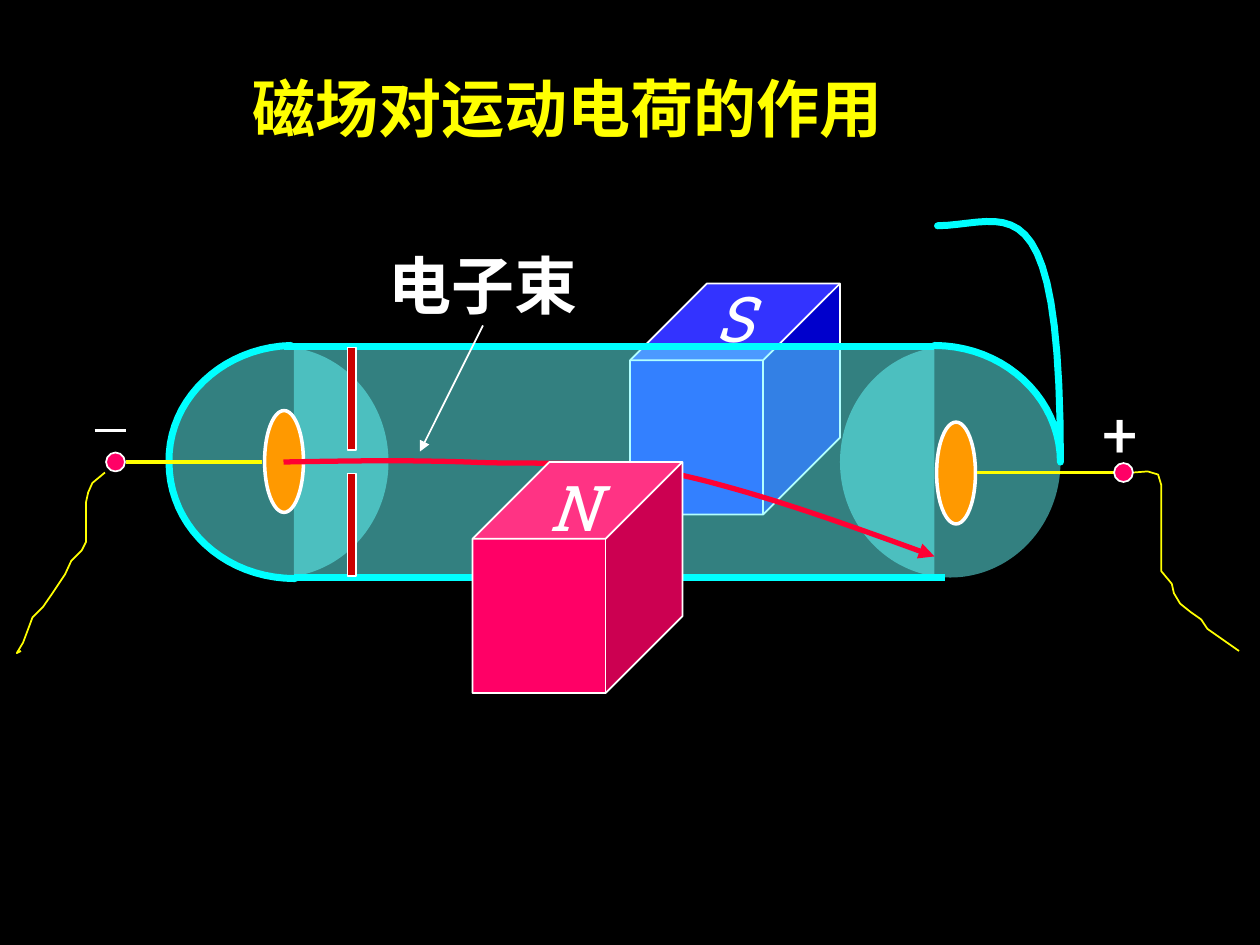
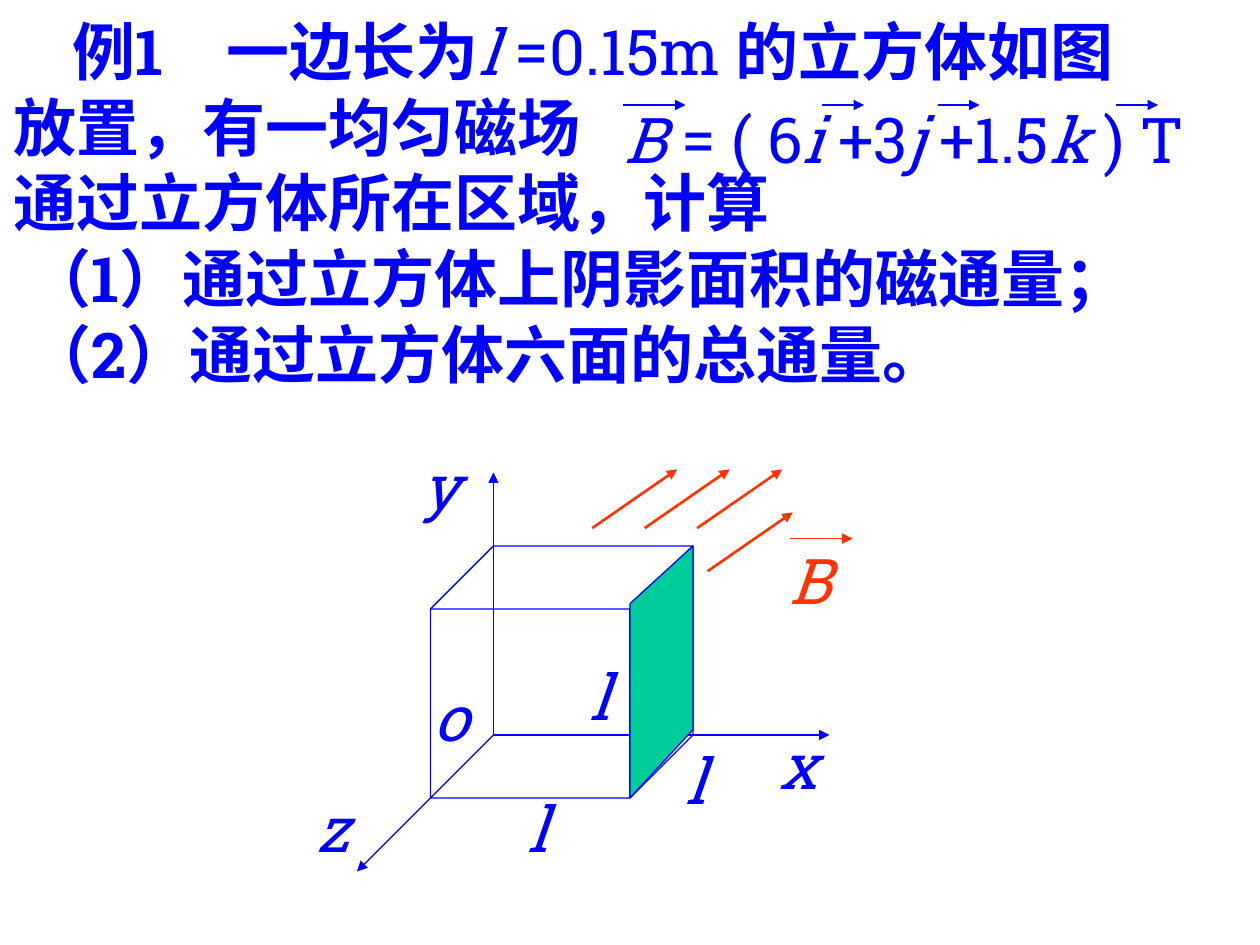
from dataclasses import dataclass

from lxml.etree import SubElement
from pptx import Presentation
from pptx.dml.color import RGBColor
from pptx.enum.shapes import MSO_CONNECTOR as Connector, MSO_SHAPE as Shape
from pptx.enum.text import MSO_ANCHOR as Anchor, MSO_AUTO_SIZE as AutoSize, PP_ALIGN as Align
from pptx.oxml.ns import qn
from pptx.util import Emu, Inches, Pt

COLUMNS, ROWS = 120, 90
TEXT_ROWS = 8.4


@dataclass(frozen=True)
class Theme:
    latin: str = "Roboto Slab"
    chinese: str = "Noto Sans CJK SC"
    text_size: float = 36
    hairline: float = 0.75
    thin: float = 1
    field: float = 1.5
    medium: float = 2
    beam: float = 3
    thick: float = 4
    black: str = "000000"
    white: str = "FFFFFF"
    yellow: str = "FFFF00"
    blue: str = "0000FF"
    glass: str = "66FFFF"
    cyan: str = "00FFFF"
    orange: str = "FF9900"
    pink: str = "FF0066"
    plate_red: str = "CC0000"
    beam_red: str = "FF0033"
    field_red: str = "FF3300"
    green: str = "00CC99"


theme = Theme()


def add_run(paragraph, text, color=theme.white, bold=False, italic=False):
    run = paragraph.add_run()
    run.text = text
    font = run.font
    font.size, font.bold, font.italic = Pt(theme.text_size), bold, italic
    font.color.rgb = RGBColor.from_string(color)
    font.name = theme.latin
    SubElement(run._r.get_or_add_rPr(), qn("a:ea"), typeface=theme.chinese)


def bezier_points(start, *curves, steps=20):
    """Follow cubic curves, each given as two control points and an end."""
    points = [start]
    for first, second, end in curves:
        origin = points[-1]
        for step in range(1, steps + 1):
            t = step / steps
            weights = ((1 - t) ** 3, 3 * t * (1 - t) ** 2, 3 * t * t * (1 - t), t ** 3)
            points.append(tuple(sum(w * p[axis] for w, p in zip(weights, (origin, first, second, end)))
                                for axis in (0, 1)))
    return points


class Board:
    """Draws on the current slide in grid columns and rows."""

    def __init__(self):
        self.presentation = Presentation()
        self.presentation.slide_width = Inches(10)
        self.presentation.slide_height = Inches(7.5)
        self.slide = None

    def new_slide(self, layout, background):
        self.slide = self.presentation.slides.add_slide(self.presentation.slide_layouts[layout])
        fill = self.slide.background.fill
        fill.solid()
        fill.fore_color.rgb = RGBColor.from_string(background)

    def column(self, value):
        return Emu(round(self.presentation.slide_width * value / COLUMNS))

    def row(self, value):
        return Emu(round(self.presentation.slide_height * value / ROWS))

    def box(self, left, top, width, height):
        return self.column(left), self.row(top), self.column(width), self.row(height)

    def outline(self, line, color, width, arrow=False):
        if color is None:
            line.fill.background()
            return
        line.color.rgb = RGBColor.from_string(color)
        line.width = Pt(width)
        if arrow:
            SubElement(line._get_or_add_ln(), qn("a:tailEnd"), type="triangle")

    def paint(self, shape, fill, alpha=None):
        shape.shadow.inherit = False
        if fill is None:
            shape.fill.background()
            return
        shape.fill.solid()
        shape.fill.fore_color.rgb = RGBColor.from_string(fill)
        if alpha:
            color = shape.fill._xPr.find(qn("a:solidFill"))[0]
            SubElement(color, qn("a:alpha"), val=str(alpha * 1000))

    def shape(self, kind, place, fill=None, line=None, width=theme.thin, alpha=None, adjust=None):
        shape = self.slide.shapes.add_shape(kind, *self.box(*place))
        self.paint(shape, fill, alpha)
        self.outline(shape.line, line, width)
        if adjust is not None:
            shape.adjustments[0] = adjust

    def line(self, start, end, color, width, arrow=False):
        connector = self.slide.shapes.add_connector(
            Connector.STRAIGHT, self.column(start[0]), self.row(start[1]),
            self.column(end[0]), self.row(end[1]))
        self.outline(connector.line, color, width, arrow)
        SubElement(connector._element.spPr, qn("a:effectLst"))

    def path_shape(self, points, color, width, fill=None, closed=False, arrow=False, rounded=False):
        corners = [(self.column(x), self.row(y)) for x, y in points]
        builder = self.slide.shapes.build_freeform(*corners[0], scale=1.0)
        builder.add_line_segments(corners[1:], close=closed)
        shape = builder.convert_to_shape()
        self.paint(shape, fill)
        self.outline(shape.line, color, width, arrow)
        if rounded:
            shape.line._get_or_add_ln().set("cap", "rnd")

    def frame(self, shape, place, wrap=False):
        shape.left, shape.top, shape.width, shape.height = self.box(*place)
        frame = shape.text_frame
        frame.word_wrap, frame.auto_size = wrap, AutoSize.NONE
        frame.vertical_anchor = Anchor.TOP
        return frame

    def label(self, text, left, top, width, **style):
        self.formula([(text, style)], left, top, width)

    def formula(self, parts, left, top, width):
        place = (left, top, width, TEXT_ROWS)
        frame = self.frame(self.slide.shapes.add_textbox(*self.box(*place)), place)
        for text, style in parts:
            add_run(frame.paragraphs[0], text, **style)

    def title(self, text, place, **style):
        paragraph = self.frame(self.slide.shapes.title, place).paragraphs[0]
        paragraph.alignment = Align.LEFT
        add_run(paragraph, text, **style)

    def body(self, paragraphs, place):
        """Each paragraph is (first-line indent in inches, parts)."""
        title = self.slide.shapes.title._element
        title.getparent().remove(title)
        frame = self.frame(self.slide.placeholders[1], place, wrap=True)
        for index, (indent, parts) in enumerate(paragraphs):
            paragraph = frame.add_paragraph() if index else frame.paragraphs[0]
            paragraph.space_before = Pt(0)
            properties = paragraph._p.get_or_add_pPr()
            properties.set("marL", "0")
            properties.set("indent", str(Inches(indent)))
            SubElement(properties, qn("a:buNone"))
            for text, style in parts:
                add_run(paragraph, text, **style)


def draw_beam_tube(board):
    board.new_slide(5, theme.black)
    board.title("磁场对运动电荷的作用", (22.8, 6, 66, TEXT_ROWS), color=theme.yellow, bold=True)

    def magnet(left, top, fill):
        board.shape(Shape.CUBE, (left, top, 20, 22), fill, theme.white, adjust=0.366)

    magnet(60, 27, theme.blue)
    board.label("S", 67, 26, 7.2, italic=True)

    # Glass tube
    for kind, left, width in ((Shape.OVAL, 80, 21), (Shape.RECTANGLE, 28, 61), (Shape.OVAL, 16, 21)):
        board.shape(kind, (left, 33, width, 22), theme.glass, alpha=50)
    left_end = bezier_points((28.1, 55.1), ((21.4, 55.1), (16.1, 50.2), (16.1, 44)),
                             ((16, 38), (21.2, 33.1), (27.7, 32.9)))
    right_end = bezier_points((89, 32.9), ((95.6, 32.9), (101, 37.9), (101, 44)),
                              ((101, 16.4), (95.9, 21.4), (89.3, 21.5)))
    for end in (left_end, right_end):
        board.path_shape(end, theme.cyan, theme.thick, rounded=True)
    for left, y in ((27, 33), (28, 55)):
        board.line((left, y), (left + 62, y), theme.cyan, theme.thick)

    # Electrodes, wires and terminals
    for left, top in ((25.2, 39.1), (89.2, 40.2)):
        board.shape(Shape.OVAL, (left, top, 3.7, 9.7), theme.orange, theme.white, theme.medium)
    for start, end, y in ((25, 12, 44), (93, 107, 45)):
        board.line((start, y), (end, y), theme.yellow, theme.medium)
    for left, top in ((106.1, 44.1), (10.1, 43.1)):
        board.shape(Shape.OVAL, (left, top, 1.8, 1.8), theme.pink, theme.white)
    left_lead = [(10, 45), (8.8, 46), (8.4, 46.9), (8.2, 47.8), (8.2, 51.6), (7.8, 52.4), (6.8, 53.4),
                 (6.2, 54.7), (5, 56.5), (4.1, 57.8), (3.1, 58.8), (2.2, 61.2), (1.6, 62.2), (2, 62)]
    right_lead = [(108, 45), (109.3, 44.9), (110.3, 45.2), (110.6, 46.2), (110.6, 54.4), (111.6, 55.6),
                  (111.8, 56.5), (112.4, 57.5), (113.4, 58.3), (114.4, 59), (115, 59.9), (118, 62)]
    for lead in (left_lead, right_lead):
        board.path_shape(lead, theme.yellow, theme.thin)
    board.label("+", 103.8, 37, 6)
    board.line((9, 41), (12, 41), theme.white, theme.medium)

    # Slit plates
    for top in (33.1, 45.1):
        board.shape(Shape.RECTANGLE, (33.1, top, 0.8, 9.8), theme.plate_red, theme.white)

    # Electron beam and front magnet
    beam = bezier_points((27, 44), ((32.6, 43.9), (38.4, 43.8), (44.5, 44)),
                         ((50.8, 44.3), (56.8, 43.7), (64.2, 45.1)),
                         ((71.6, 46.7), (80.3, 49.8), (89, 53)))
    board.path_shape(beam, theme.beam_red, theme.beam, arrow=True)
    magnet(45, 44, theme.pink)
    board.label("N", 51.2, 44, 6.7, italic=True)
    board.label("电子束", 35.8, 22.9, 20.4, bold=True)
    board.line((46, 31), (40, 43), theme.white, theme.thin, arrow=True)


def draw_flux_example(board):
    board.new_slide(1, theme.white)
    bold = dict(color=theme.blue, bold=True)
    plain = dict(color=theme.blue)
    italic = dict(color=theme.blue, italic=True)

    # Question
    board.body([
        (0.47, [("例1　一边长为", bold), ("l ", italic), ("=0.15m ", plain), ("的立方体如图", bold)]),
        (0, [("放置，有一均匀磁场", bold)]),
        (0, [("通过立方体所在区域，计算", bold)]),
        (0.12, [("（1）通过立方体上阴影面积的磁通量；", bold)]),
        (0.12, [("（2）通过立方体六面的总通量。", bold)]),
    ], (0.1, 0.6, 118.2, 37.2))

    # Cube on its axes
    board.shape(Shape.CUBE, (41, 52, 25, 24), line=theme.blue, width=theme.hairline, adjust=0.25)
    for axis_end in ((47, 45), (79, 70), (34, 83)):
        board.line((47, 70), axis_end, theme.blue, theme.hairline, arrow=True)
    board.path_shape([(66, 52), (66, 69.5), (60, 76), (60, 57.5)], theme.blue, theme.hairline,
                     fill=theme.green, closed=True)
    for text, left, top, width in (("x", 73.1, 68.6, 5.6), ("y", 39, 42, 6), ("z", 29, 74.6, 5.5),
                                   ("o", 40.1, 64, 5.6), ("l", 55, 62, 4.1), ("l", 64.1, 70, 4.1),
                                   ("l", 49.1, 74.6, 4.1)):
        board.label(text, left, top, width, **italic)

    # Magnetic field
    for x, y in ((56.4, 50.3), (61.4, 50.3), (66.4, 50.3), (67.4, 54.4)):
        board.line((x, y), (x + 8.1, y - 5.6), theme.field_red, theme.field, arrow=True)
    board.label("B", 74, 51, 6.7, color=theme.field_red, italic=True)
    board.line((75.2, 51.3), (81.2, 51.3), theme.field_red, theme.hairline, arrow=True)

    # Field formula with its vector marks
    board.formula([("B", italic), (" = ( 6", plain), ("i ", italic), ("+3", plain), ("j ", italic),
                   ("+1.5", plain), ("k ", italic), (") T", plain)], 58.3, 9, 61.7)
    for left, length in ((59.3, 6), (78.3, 4), (89.3, 4), (106.3, 4)):
        board.line((left, 10), (left + length, 10), theme.blue, theme.hairline, arrow=True)


def main():
    board = Board()
    draw_beam_tube(board)
    draw_flux_example(board)
    board.presentation.save("out.pptx")


if __name__ == "__main__":
    main()
